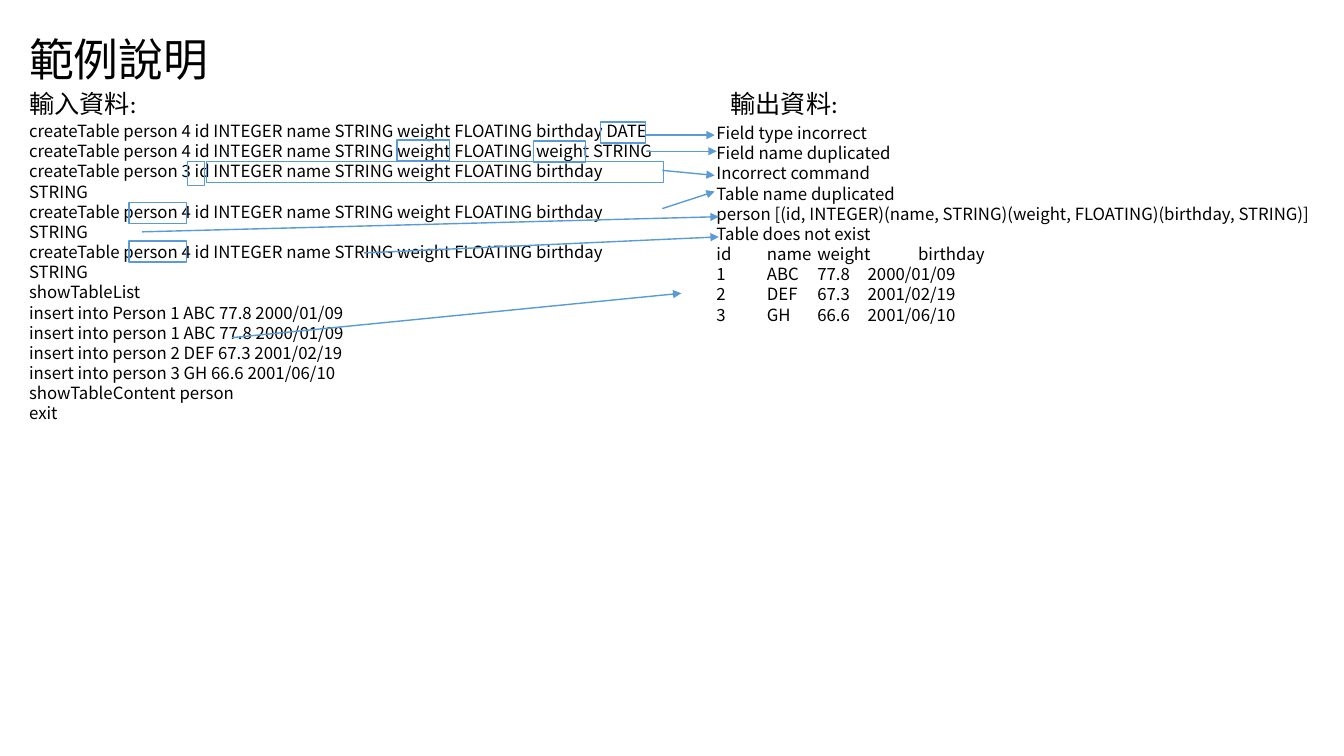
from pptx import Presentation
from pptx.dml.color import RGBColor
from pptx.enum.shapes import MSO_CONNECTOR, MSO_SHAPE
from pptx.enum.text import MSO_ANCHOR
from pptx.oxml.ns import qn
from pptx.util import Pt
from lxml import etree

LINE = MSO_CONNECTOR.STRAIGHT
RECT = MSO_SHAPE.RECTANGLE
TOP, MIDDLE = MSO_ANCHOR.TOP, MSO_ANCHOR.MIDDLE

COLORS = {"text": "000000", "mark": "5B9BD5"}
HEAD, CODE = "Calibri", "Noto Sans CJK SC"

MAKE = "createTable person {} id INTEGER name STRING weight FLOATING {} {}"
INPUT = [
    MAKE.format(4, "birthday", "DATE"),
    MAKE.format(4, "weight", "STRING"),
    MAKE.format(3, "birthday", "STRING"),
    MAKE.format(4, "birthday", "STRING"),
    MAKE.format(4, "birthday", "STRING"),
    "showTableList",
    "insert into Person 1 ABC 77.8 2000/01/09",
    "insert into person 1 ABC 77.8 2000/01/09",
    "insert into person 2 DEF 67.3 2001/02/19",
    "insert into person 3 GH 66.6 2001/06/10",
    "showTableContent person",
    "exit",
]
OUTPUT = [
    "Field type incorrect",
    "Field name duplicated",
    "Incorrect command",
    "Table name duplicated",
    "person [(id, INTEGER)(name, STRING)(weight, FLOATING)(birthday, STRING)]",
    "Table does not exist",
    "id\tname\tweight\tbirthday",
    "1\tABC\t77.8\t2000/01/09",
    "2\tDEF\t67.3\t2001/02/19",
    "3\tGH\t66.6\t2001/06/10",
]
# Marks: left, top, width, height, relative to the input box
MARKS = [
    (415.3, 4.3, 32, 15), (270, 17.3, 37.5, 15), (367.2, 18, 37.5, 15),
    (120.2, 32.4, 12.2, 17.3), (133.9, 32.4, 326.2, 15),
    (78.5, 62, 41, 15), (78.5, 89.3, 41, 15),
]
# Arrows: from x, y to x, y, relative to the input box
ARROWS = [
    (447.1, 13.7, 496.8, 13.7), (447.8, 25.2, 498.2, 25.2),
    (459.4, 38.9, 496.8, 42.5), (459.4, 66.2, 496.8, 54),
    (87.8, 82.8, 499.7, 72), (246.2, 97.9, 499.7, 86.4),
    (151.9, 158.4, 473, 126.7),
]


def put_text(slide, box, lines, size, font, space=1.0, anchor=TOP):
    """Put lines of text into a box, one paragraph each."""
    shape = slide.shapes.add_textbox(*map(Pt, box))
    frame = shape.text_frame
    frame.word_wrap = True
    frame.vertical_anchor = anchor
    frame.text = "\n".join(lines)
    for para in frame.paragraphs:
        para.line_spacing = space
        for run in para.runs:
            run.font.size = Pt(size)
            run.font.name = font
            run.font.color.rgb = RGBColor.from_string(COLORS["text"])


def put_side(slide, box, title, inset, lines):
    """Put a heading above its listing; inset shifts the heading right."""
    left, top, width, height = box
    put_text(slide, (left + inset, 62, 200, 30), [title], 18, HEAD, 0.9)
    put_text(slide, box, lines, 12, CODE)


def put_line(shape):
    """Give a mark or an arrow its line."""
    shape.line.color.rgb = RGBColor.from_string(COLORS["mark"])
    shape.line.width = Pt(1)


def put_marks(slide, box):
    """Frame the words that matter in the input box."""
    left, top = box[:2]
    for x, y, width, height in MARKS:
        mark = slide.shapes.add_shape(
            RECT, Pt(left + x), Pt(top + y), Pt(width), Pt(height))
        mark.shadow.inherit = False
        mark.fill.background()
        put_line(mark)


def put_arrows(slide, box):
    """Lead from the input lines to their results."""
    left, top = box[:2]
    for x1, y1, x2, y2 in ARROWS:
        arrow = slide.shapes.add_connector(
            LINE, Pt(left + x1), Pt(top + y1), Pt(left + x2), Pt(top + y2))
        put_line(arrow)
        etree.SubElement(arrow.line._get_or_add_ln(), qn("a:tailEnd"),
                         type="triangle")
        etree.SubElement(arrow._element.spPr, qn("a:effectLst"))


def build():
    """Build the slide and save it."""
    deck = Presentation()
    deck.slide_width, deck.slide_height = Pt(960), Pt(540)
    slide = deck.slides.add_slide(deck.slide_layouts[6])
    source = (13.7, 82.8, 466, 196.6)
    result = (504.7, 84.2, 450.7, 152.6)
    put_text(slide, (13.7, -7.9, 175, 104.4), ["範例說明"], 32, HEAD, 0.9, MIDDLE)
    put_side(slide, source, "輸入資料:", 0, INPUT)
    put_side(slide, result, "輸出資料:", 10, OUTPUT)
    put_marks(slide, source)
    put_arrows(slide, source)
    deck.save("out.pptx")


build()
